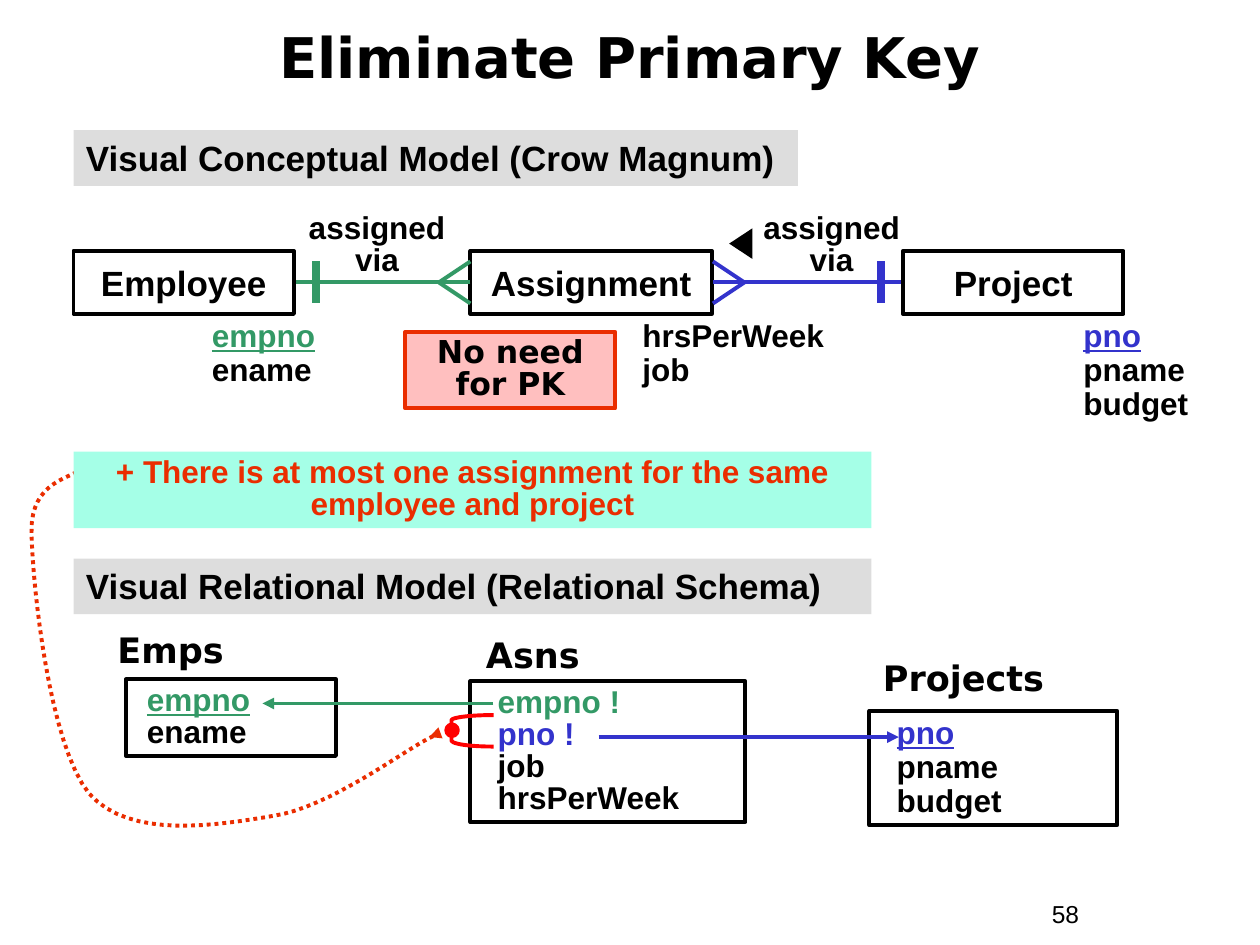
from lxml import etree
from pptx import Presentation
from pptx.dml.color import RGBColor
from pptx.enum.dml import MSO_LINE
from pptx.enum.shapes import MSO_CONNECTOR, MSO_SHAPE
from pptx.enum.text import MSO_ANCHOR, PP_ALIGN
from pptx.oxml.ns import qn
from pptx.util import Inches, Pt

STRAIGHT = MSO_CONNECTOR.STRAIGHT
RECTANGLE, TRIANGLE, OVAL = MSO_SHAPE.RECTANGLE, MSO_SHAPE.ISOSCELES_TRIANGLE, MSO_SHAPE.OVAL
LEFT, CENTER = PP_ALIGN.LEFT, PP_ALIGN.CENTER
TOP, MIDDLE = MSO_ANCHOR.TOP, MSO_ANCHOR.MIDDLE
DOTTED = MSO_LINE.ROUND_DOT

COLS, ROWS = 120, 90
CELL = Inches(10) / COLS
COLORS = {
    "black": "000000", "white": "FFFFFF", "gray": "DDDDDD", "green": "339966",
    "blue": "3333CC", "orange": "EA2D00", "red": "FF0000", "mint": "A5FFE7", "pink": "FFBFBF",
}
BODY = {"name": "Arial", "size": Pt(18), "bold": True}
LABEL = {**BODY, "size": Pt(20)}
HEADING = {**LABEL, "name": "DejaVu Sans"}
TITLE = {**HEADING, "size": Pt(32)}
NOTE = {**HEADING, "size": Pt(18)}
NUMBER = {"name": "Arial", "size": Pt(14), "bold": False}


def rgb(color):
    """Look up a named colour."""
    return RGBColor.from_string(COLORS[color])


def cells(*lengths):
    """Turn grid cells into slide lengths."""
    return [round(length * CELL) for length in lengths]


def within(box, x, y, w=0, h=0):
    """Place a part relative to the corner of its region."""
    return box[0] + x, box[1] + y, w, h


def write(frame, lines, style, align=LEFT, anchor=TOP, spacing=1.0, inset=1.2):
    """Fill a frame with lines given as (text, colour, underlined)."""
    frame.word_wrap = True
    frame.vertical_anchor = anchor
    frame.margin_left = cells(inset)[0]
    for index, (text, color, underlined) in enumerate(lines):
        paragraph = frame.paragraphs[0] if index == 0 else frame.add_paragraph()
        paragraph.alignment, paragraph.line_spacing = align, spacing
        run = paragraph.add_run()
        run.text = text
        for attribute, value in {**style, "underline": underlined}.items():
            setattr(run.font, attribute, value)
        run.font.color.rgb = rgb(color)


def plain(text, color="black"):
    """Give one line that is not underlined."""
    return [(text, color, False)]


def add_text(slide, box, lines, style, **layout):
    """Add free text."""
    write(slide.shapes.add_textbox(*cells(*box)).text_frame, lines, style, **layout)


def paint(shape, fill=None, outline=None):
    """Set the fill and outline of a shape."""
    shape.shadow.inherit = False
    if fill:
        shape.fill.solid()
        shape.fill.fore_color.rgb = rgb(fill)
    else:
        shape.fill.background()
    if outline:
        shape.line.color.rgb, shape.line.width = rgb(outline), Pt(2.25)
    else:
        shape.line.fill.background()


def add_panel(slide, box, lines=(), style=BODY, fill=None, outline=None, kind=RECTANGLE, **layout):
    """Add a preset shape with optional text."""
    panel = slide.shapes.add_shape(kind, *cells(*box))
    paint(panel, fill, outline)
    if lines:
        write(panel.text_frame, lines, style, **layout)
    return panel


def add_arrowhead(line):
    """Put a triangle at the end of a line."""
    etree.SubElement(line.get_or_add_ln(), qn("a:tailEnd"), type="triangle")


def add_line(slide, box, x1, y1, x2, y2, color, width=2.25, arrow=False):
    """Draw a straight line inside a region."""
    ends = within(box, x1, y1)[:2] + within(box, x2, y2)[:2]
    line = slide.shapes.add_connector(STRAIGHT, *cells(*ends))
    line.line.color.rgb, line.line.width = rgb(color), Pt(width)
    etree.SubElement(line._element.spPr, qn("a:effectLst"))
    if arrow:
        add_arrowhead(line)


def add_curve(slide, box, controls, color):
    """Trace joined cubic curves through their control points."""
    points = [controls[0]]
    for start in range(0, len(controls) - 1, 3):
        a, b, c, d = controls[start:start + 4]
        for step in range(1, 17):
            t = step / 16
            weights = (1 - t) ** 3, 3 * t * (1 - t) ** 2, 3 * t * t * (1 - t), t ** 3
            points.append([sum(k * p[axis] for k, p in zip(weights, (a, b, c, d))) for axis in (0, 1)])
    points = [cells(*within(box, *point)[:2]) for point in points]
    builder = slide.shapes.build_freeform(*points[0])
    builder.add_line_segments(points[1:], close=False)
    curve = builder.convert_to_shape()
    paint(curve, outline=color)
    return curve


def add_relationship(slide, box, many_x, one_x, axis, color):
    """Draw a crow's foot at one entity and a bar at the other."""
    toward = 1 if one_x > many_x else -1
    fork, bar = many_x + 3 * toward, one_x - 1.9 * toward
    add_line(slide, box, many_x, axis, one_x, axis, color)
    for spread in (-2, 2):
        add_line(slide, box, fork, axis, many_x, axis + spread, color)
    add_line(slide, box, bar, axis - 2, bar, axis + 2, color, width=4.5)


def add_conceptual_model(slide, box):
    """Draw the entities, their attributes and relationships."""
    for name, x, width in (("Employee", 0, 21), ("Assignment", 37.8, 23), ("Project", 79, 21)):
        add_panel(slide, within(box, x, 4.1, width, 6), plain(name), LABEL, outline="black",
                  align=CENTER, anchor=MIDDLE)
    for x in (20.9, 64.2):
        add_text(slide, within(box, x, 0, 16, 7.3), plain("assigned via"), BODY, align=CENTER, spacing=0.85)
    attributes = (
        (12, 18, [("empno", "green", True)] + plain("ename")),
        (53, 21, plain("hrsPerWeek") + plain("job")),
        (95, 14, [("pno", "blue", True)] + plain("pname") + plain("budget")),
    )
    for x, width, lines in attributes:
        add_text(slide, within(box, x, 10.1, width, 3.2 * len(lines) + 1.3), lines, BODY, spacing=0.9)
    add_panel(slide, within(box, 62.1, 2.3, 2.9, 2.2), fill="black", kind=TRIANGLE).rotation = 270
    add_relationship(slide, box, 37.8, 21.2, 7.1, "green")
    add_relationship(slide, box, 60.9, 78.8, 7.1, "blue")
    add_panel(slide, within(box, 31.6, 11.8, 20, 7.3), plain("No need for PK"), NOTE, "pink", "orange",
              align=CENTER, spacing=0.85)


def add_relational_model(slide, box):
    """Draw the tables, their references and the unique pair."""
    tables = (
        ("Emps", (0, 0, 25.8, 5.3), (2, 5.4, 20, 7.3), 2, 0.85,
         [("empno", "green", True)] + plain("ename")),
        ("Asns", (35.1, 0.4, 17.3, 5.3), (34.8, 5.6, 26.2, 13.4), 2.6, 0.85,
         plain("empno !", "green") + plain("pno !", "blue") + plain("job") + plain("hrsPerWeek")),
        ("Projects", (72.9, 2.6, 25.8, 5.3), (72.8, 8.4, 23.6, 10.9), 2.6, 0.9,
         [("pno", "blue", True)] + plain("pname") + plain("budget")),
    )
    for name, heading, body, inset, spacing, columns in tables:
        add_text(slide, within(box, *heading), plain(name), HEADING)
        add_panel(slide, within(box, *body), columns, outline="black", align=LEFT, spacing=spacing, inset=inset)
    add_line(slide, box, 37, 7.7, 15, 7.7, "green", arrow=True)
    add_line(slide, box, 47, 10.9, 75.6, 10.9, "blue", arrow=True)
    bracket = [(4, 0), (2, 0), (0, 0.2), (0, 0.5), (0, 1.1), (0, 1.8), (0, 2.4), (0, 2.8), (2, 3), (4, 3)]
    add_curve(slide, within(box, 33, 8.8), bracket, "red")
    add_panel(slide, within(box, 32.5, 9.7, 1.1, 1.1), fill="red", outline="red", kind=OVAL)


def add_constraint(slide, box):
    """Draw the constraint band and the dotted curve to the unique pair."""
    controls = [
        (5, 0), (4.2, 1.1), (0, 1.1), (0.1, 6.2), (0.2, 11.4), (1.8, 26.5), (5.6, 31.1),
        (9.5, 35.5), (17.8, 34.1), (23.2, 33.2), (28.4, 32.4), (35.3, 27.2), (37.8, 25.9),
        (40.2, 24.7), (37.9, 25.8), (38, 25.7),
    ]
    pointer = add_curve(slide, within(box, -4.1, 1.5), controls, "orange")
    pointer.line.dash_style = DOTTED
    add_arrowhead(pointer)
    statement = "+ There is at most one assignment for the same employee and project"
    add_panel(slide, box, plain(statement, "orange"), fill="mint", align=CENTER, spacing=0.85)


def main():
    """Build the slide."""
    deck = Presentation()
    deck.slide_width, deck.slide_height = cells(COLS, ROWS)
    slide = deck.slides.add_slide(deck.slide_layouts[6])
    slide.background.fill.solid()
    slide.background.fill.fore_color.rgb = rgb("white")
    add_text(slide, (4, 1.3, 112, 9), plain("Eliminate Primary Key"), TITLE,
             align=CENTER, anchor=MIDDLE, spacing=0.85)
    sections = (("Visual Conceptual Model (Crow Magnum)", 12.4, 69),
                ("Visual Relational Model (Relational Schema)", 53.2, 76))
    for name, top, width in sections:
        add_panel(slide, (7, top, width, 5.3), plain(name), LABEL, "gray", align=LEFT)
    add_conceptual_model(slide, (7, 19.8, 109, 21))
    add_constraint(slide, (7, 43, 76, 7.3))
    add_relational_model(slide, (10, 59.3, 99, 19.3))
    add_text(slide, (99, 85, 11, 4), plain("58"), NUMBER)
    deck.save("out.pptx")


if __name__ == "__main__":
    main()
